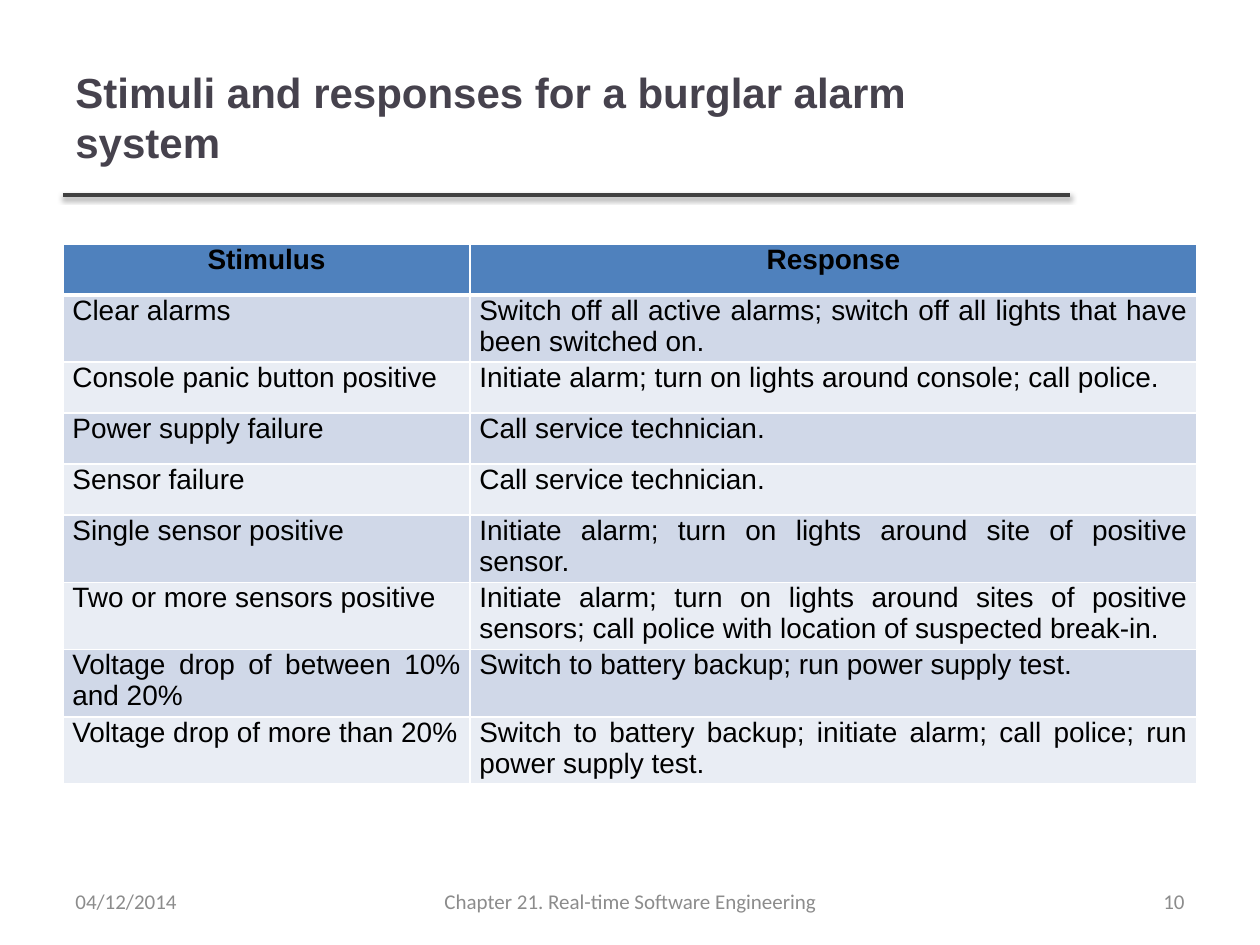
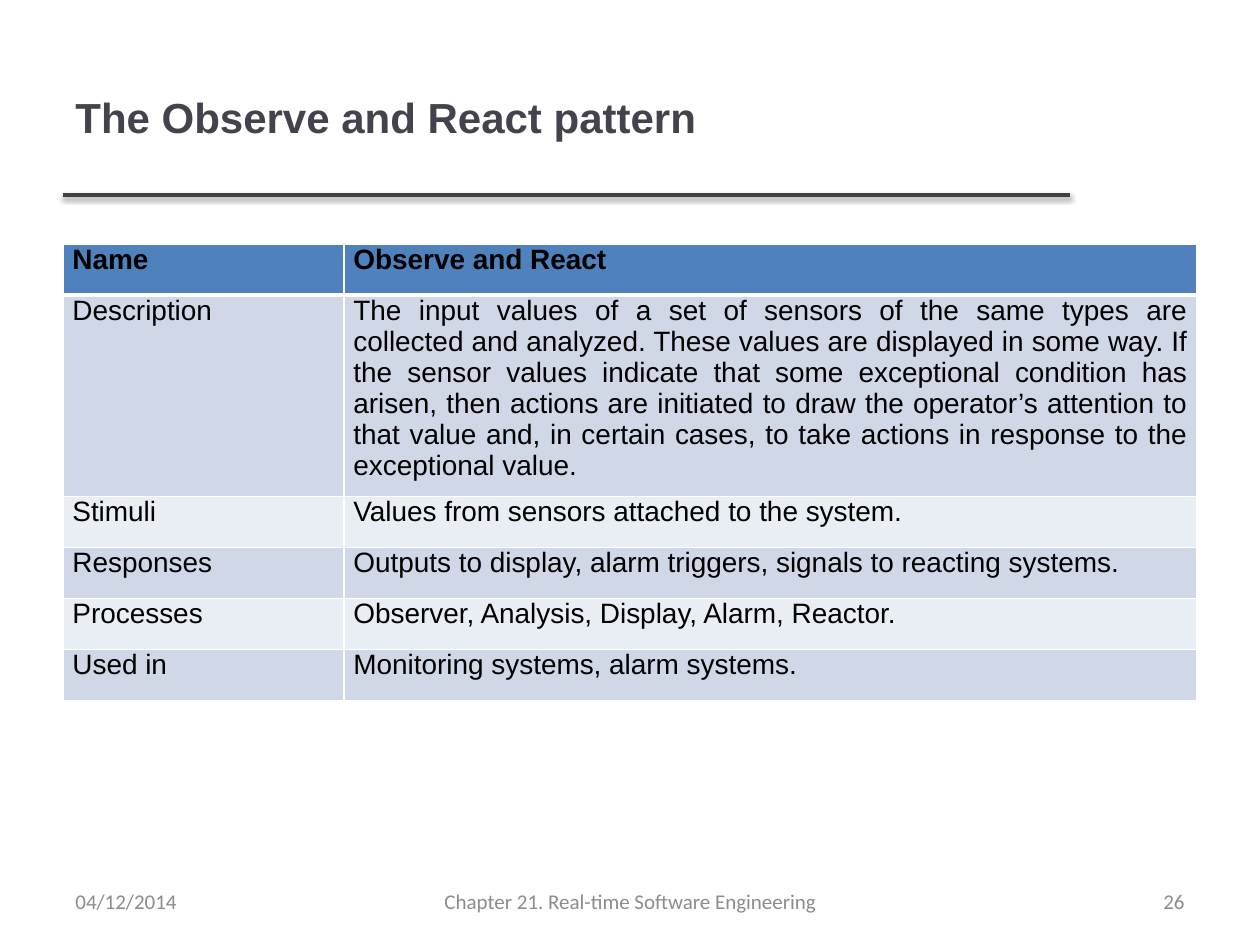
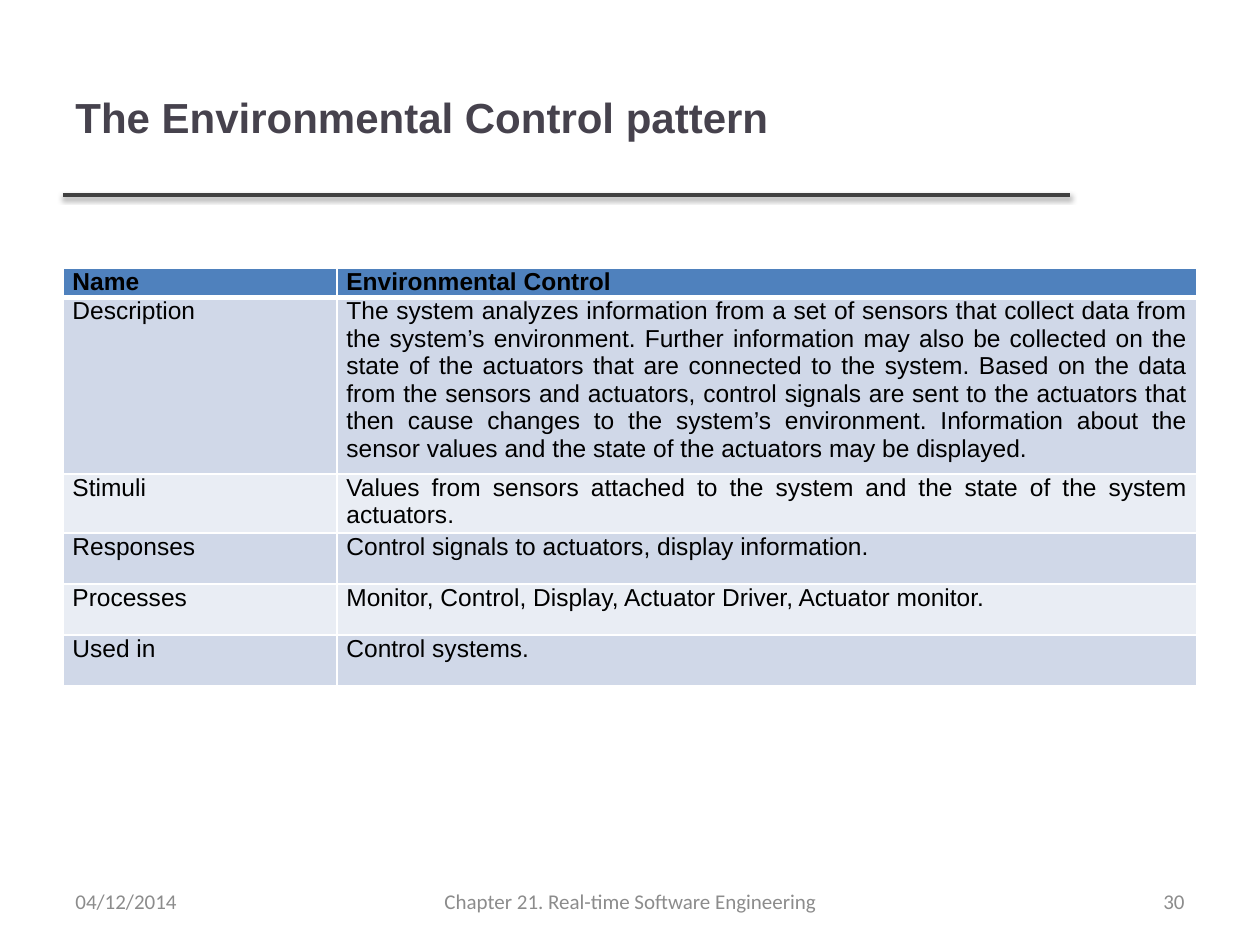
from lxml import etree
from pptx import Presentation
from pptx import util as u
from pptx.dml.color import RGBColor
from pptx.enum import shapes, text
from pptx.oxml import parse_xml
from pptx.oxml.ns import nsdecls, qn

SCALE = 914400 // 126  # EMU per pixel
COLORS = {
    "title": "46424D", "rule": "404040", "footer": "8C8C8C", "text": "000000",
    "header": "4F81BD", "odd": "D0D8E8", "even": "E9EDF4", "border": "FFFFFF",
}
LEFT, WIDTH = 63, 1134
ROW = 51
CELL_MARGIN = u.Pt(5.4)
ALIGN = text.PP_ALIGN


def px(n):
    return u.Emu(n * SCALE)


def rgb(name):
    return RGBColor.from_string(COLORS[name])


class Deck:
    def __init__(self):
        self.prs = Presentation()
        self.prs.slide_width, self.prs.slide_height = px(1260), px(945)

    def slide(self, title, number):
        self.s = self.prs.slides.add_slide(self.prs.slide_layouts[6])
        self.rule()
        self.text(title, LEFT, 38, 1006, 157, 24, "title", "Arial", bold=True)
        # Footer
        for words, x, w, align in (("04/12/2014", LEFT, 294, ALIGN.LEFT),
                                   ("Chapter 21. Real-time Software Engineering", 431, 399, ALIGN.CENTER),
                                   (str(number), 903, 294, ALIGN.RIGHT)):
            self.text(words, x, 876, w, 50, 12, "footer", "Calibri", align)

    def run(self, p, words, size, color, font, bold):
        r = p.add_run()
        r.text = words
        r.font.size, r.font.name, r.font.bold = u.Pt(size), font, bold
        r.font.color.rgb = rgb(color)

    def text(self, words, x, y, w, h, size, color, font, align=ALIGN.LEFT, bold=False):
        tf = self.s.shapes.add_textbox(px(x), px(y), px(w), px(h)).text_frame
        tf.word_wrap = True
        tf.vertical_anchor = text.MSO_ANCHOR.MIDDLE
        p = tf.paragraphs[0]
        p.alignment = align
        self.run(p, words, size, color, font, bold)

    def rule(self):
        """Line under the title, with a soft shadow."""
        line = self.s.shapes.add_connector(shapes.MSO_CONNECTOR.STRAIGHT,
                                           px(LEFT), px(195), px(1070), px(195))
        line.line.color.rgb = rgb("rule")
        line.line.width = u.Pt(2)
        line._element.spPr.append(parse_xml(
            f'<a:effectLst {nsdecls("a")}><a:outerShdw blurRad="{u.Pt(3.1)}" dist="{u.Pt(1.6)}" '
            'dir="5400000" rotWithShape="0"><a:srgbClr val="000000"><a:alpha val="38000"/>'
            '</a:srgbClr></a:outerShdw></a:effectLst>'))

    def borders(self, cell, top, bottom):
        tc_pr = cell._tc.get_or_add_tcPr()
        for side, width in (("L", 1), ("R", 1), ("T", top), ("B", bottom)):
            ln = etree.SubElement(tc_pr, qn(f"a:ln{side}"), w=str(u.Pt(width)))
            fill = etree.SubElement(ln, qn("a:solidFill"))
            etree.SubElement(fill, qn("a:srgbClr"), val=COLORS["border"])

    def table(self, rows, y, first_col, size=16, header_row=ROW, header_align=ALIGN.JUSTIFY):
        """Two-column banded table; rows grow with their text."""
        heights = [header_row] + [ROW] * (len(rows) - 1)
        table = self.s.shapes.add_table(len(rows), 2, px(LEFT), px(y),
                                        px(WIDTH), px(sum(heights))).table
        table.horz_banding = False
        for col, w in zip(table.columns, (first_col, WIDTH - first_col)):
            col.width = px(w)
        for i, row in enumerate(rows):
            table.rows[i].height = px(heights[i])
            header = i == 0
            band = "header" if header else "odd" if i % 2 else "even"
            for j, words in enumerate(row):
                cell = table.cell(i, j)
                cell.margin_left = cell.margin_right = CELL_MARGIN
                cell.margin_top = cell.margin_bottom = 0
                self.borders(cell, 3 if i == 1 else 1, 3 if header else 1)
                cell.fill.solid()
                cell.fill.fore_color.rgb = rgb(band)
                p = cell.text_frame.paragraphs[0]
                p.alignment = header_align if header else ALIGN.JUSTIFY
                self.run(p, words, size, "text", "Arial", header)


deck = Deck()

# Burglar alarm stimuli
deck.slide("Stimuli and responses for a burglar alarm system", 10)
deck.table([
    ("Stimulus", "Response"),
    ("Clear alarms", "Switch off all active alarms; switch off all lights that have been switched on."),
    ("Console panic button positive", "Initiate alarm; turn on lights around console; call police."),
    ("Power supply failure", "Call service technician."),
    ("Sensor failure", "Call service technician."),
    ("Single sensor positive", "Initiate alarm; turn on lights around site of positive sensor."),
    ("Two or more sensors positive", "Initiate alarm; turn on lights around sites of positive sensors; "
     "call police with location of suspected break-in."),
    ("Voltage drop of between 10% and 20%", "Switch to battery backup; run power supply test."),
    ("Voltage drop of more than 20%", "Switch to battery backup; initiate alarm; call police; "
     "run power supply test."),
], 244, 407, header_align=ALIGN.CENTER)

# Observe and React
deck.slide("The Observe and React pattern", 26)
deck.table([
    ("Name", "Observe and React"),
    ("Description", "The input values of a set of sensors of the same types are collected and analyzed. "
     "These values are displayed in some way. If the sensor values indicate that some exceptional "
     "condition has arisen, then actions are initiated to draw the operator’s attention to that value "
     "and, in certain cases, to take actions in response to the exceptional value."),
    ("Stimuli", "Values from sensors attached to the system."),
    ("Responses", "Outputs to display, alarm triggers, signals to reacting systems."),
    ("Processes", "Observer, Analysis, Display, Alarm, Reactor."),
    ("Used in", "Monitoring systems, alarm systems."),
], 244, 281)

# Environmental Control
deck.slide("The Environmental Control pattern", 30)
deck.table([
    ("Name", "Environmental Control"),
    ("Description", "The system analyzes information from a set of sensors that collect data from the "
     "system’s environment. Further information may also be collected on the state of the actuators "
     "that are connected to the system. Based on the data from the sensors and actuators, control "
     "signals are sent to the actuators that then cause changes to the system’s environment. "
     "Information about the sensor values and the state of the actuators may be displayed."),
    ("Stimuli", "Values from sensors attached to the system and the state of the system actuators."),
    ("Responses", "Control signals to actuators, display information."),
    ("Processes", "Monitor, Control, Display, Actuator Driver, Actuator monitor."),
    ("Used in", "Control systems."),
], 268, 274, size=14, header_row=26)

deck.prs.save("out.pptx")
